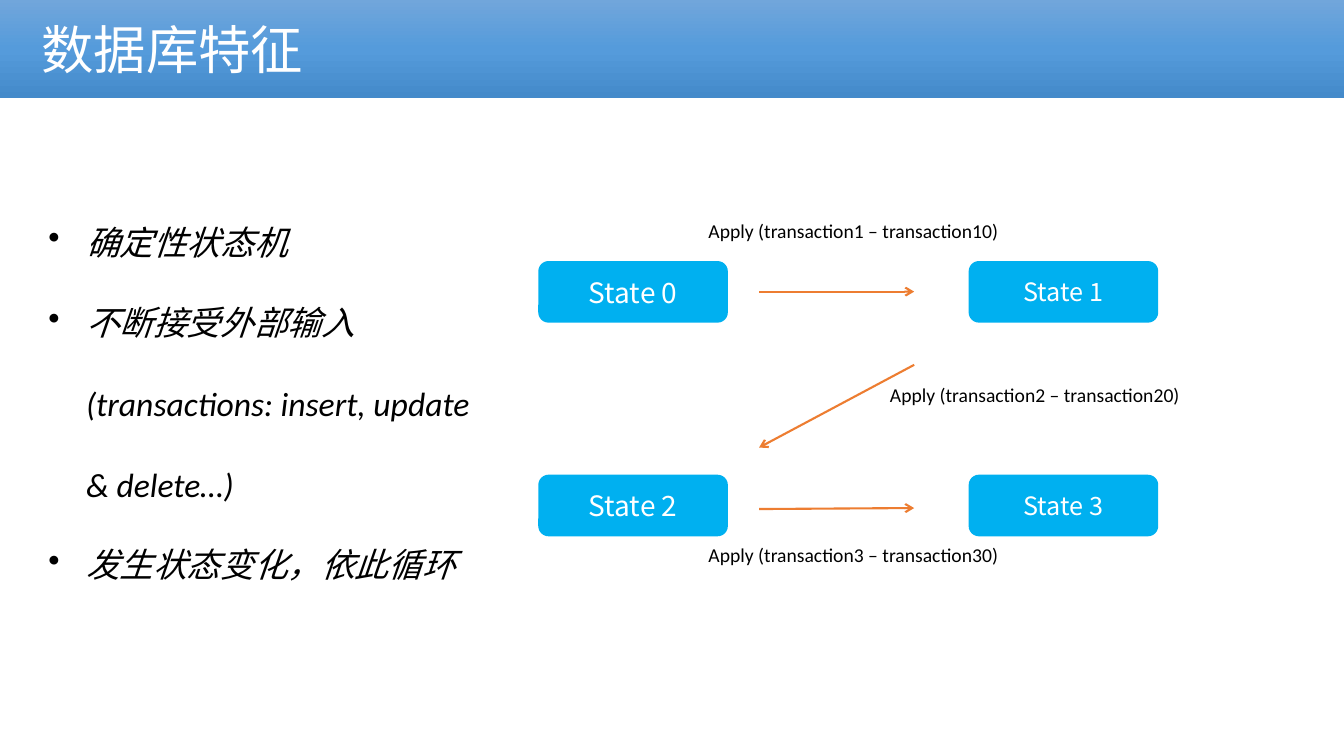
import pptx
import pptx.util
import pptx.dml.color
import pptx.enum.shapes
import pptx.enum.text
import pptx.oxml
import pptx.oxml.ns
from lxml import etree

Pt = pptx.util.Pt
qn = pptx.oxml.ns.qn
SHAPE = pptx.enum.shapes.MSO_SHAPE
ALIGN = pptx.enum.text.PP_ALIGN
ANCHOR = pptx.enum.text.MSO_ANCHOR
COLORS = {"white": "FFFFFF", "black": "000000", "state": "00B0F0", "arrow": "ED7D31",
          "bar_top": "71A6DB", "bar_middle": "559BDB", "bar_bottom": "448ACA"}
LATIN, CJK = "Calibri", "Noto Sans CJK SC"


def rgb(name):
    return pptx.dml.color.RGBColor.from_string(COLORS[name])


class SlideBuilder:
    def __init__(self, slide):
        self.s = slide

    def set_text(self, p, text, size, color, font=LATIN, italic=None):
        p.add_run().text = text
        p.font.size = Pt(size)
        p.font.name = font
        p.font.italic = italic
        p.font.color.rgb = rgb(color)
        props = p._p.pPr.find(qn("a:defRPr"))
        etree.SubElement(props, qn("a:ea"), typeface=CJK)
        return props

    def shape(self, kind, x, y, w, h):
        sp = self.s.shapes.add_shape(kind, Pt(x), Pt(y), Pt(w), Pt(h))
        sp.shadow.inherit = False
        sp.line.fill.background()
        sp.text_frame.vertical_anchor = ANCHOR.MIDDLE
        return sp

    def text_frame(self, x, y, w, h, wrap):
        tf = self.s.shapes.add_textbox(Pt(x), Pt(y), Pt(w), Pt(h)).text_frame
        tf.word_wrap = wrap
        tf.auto_size = pptx.enum.text.MSO_AUTO_SIZE.SHAPE_TO_FIT_TEXT
        return tf

    def title_bar(self, text, w, h):
        sp = self.shape(SHAPE.RECTANGLE, 0, 0, w, h)
        sp.fill.gradient()
        sp.fill.gradient_angle = 270
        stops = sp._element.spPr.find(qn("a:gradFill")).find(qn("a:gsLst"))
        for stop in list(stops):
            stops.remove(stop)
        for pos, name in ((0, "bar_top"), (50, "bar_middle"), (100, "bar_bottom")):
            stop = etree.SubElement(stops, qn("a:gs"), pos=str(pos * 1000))
            etree.SubElement(stop, qn("a:srgbClr"), val=COLORS[name])
        p = sp.text_frame.paragraphs[0]
        p.alignment = ALIGN.LEFT
        self.set_text(p, text, 37.4, "white")
        p._p.pPr.set("marL", str(Pt(22.5)))

    def bullets(self, items, x, y, w, h):
        tf = self.text_frame(x, y, w, h, True)
        for i, item in enumerate(items):
            p = tf.add_paragraph() if i else tf.paragraphs[0]
            p.line_spacing = 2.0
            props = self.set_text(p, item, 24, "black", italic=True)
            p._p.pPr.set("marL", str(Pt(27)))
            p._p.pPr.set("indent", str(Pt(-27)))
            bullet = pptx.oxml.parse_xml(
                '<a:buChar %s char="•"/>' % pptx.oxml.ns.nsdecls("a"))
            props.addprevious(bullet)

    def state(self, text, x, y, w, h, size):
        sp = self.shape(SHAPE.ROUNDED_RECTANGLE, x, y, w, h)
        sp.fill.solid()
        sp.fill.fore_color.rgb = rgb("state")
        p = sp.text_frame.paragraphs[0]
        p.alignment = ALIGN.CENTER
        self.set_text(p, text, size, "white", CJK)

    def label(self, text, x, y):
        tf = self.text_frame(x, y, 224, 24.5, False)
        self.set_text(tf.paragraphs[0], text, 14, "black")

    def arrow(self, x1, y1, x2, y2):
        c = self.s.shapes.add_connector(
            pptx.enum.shapes.MSO_CONNECTOR.STRAIGHT, Pt(x1), Pt(y1), Pt(x2), Pt(y2))
        c.line.color.rgb = rgb("arrow")
        c.line.width = Pt(1.5)
        ln = c._element.spPr.find(qn("a:ln"))
        etree.SubElement(ln, qn("a:tailEnd"), type="arrow")
        etree.SubElement(c._element.spPr, qn("a:effectLst"))


def main():
    prs = pptx.Presentation()
    prs.slide_width, prs.slide_height = Pt(960), Pt(540)
    b = SlideBuilder(prs.slides.add_slide(prs.slide_layouts[6]))

    # Title and key points
    b.title_bar("数据库特征", 960, 70)
    b.bullets(["确定性状态机",
               "不断接受外部输入(transactions: insert, update & delete…)",
               "发生状态变化，依此循环"], 27.4, 126, 336.2, 298)

    # States in a two by two grid
    for i in range(4):
        row, col = divmod(i, 2)
        b.state(f"State {i}", 384.5 + 307.4 * col, 186.5 + 152.6 * row,
                135.4, 44, 18 if col else 20)

    # Transitions between states
    left, right = 542.2, 653
    transitions = [((left, 208.3, right, 208.3), (499, 152.6)),
                   ((right, 260.6, left, 319.7), (628.6, 270)),
                   ((left, 363.6, right, 362.9), (499, 384.5))]
    for n, (ends, place) in enumerate(transitions, 1):
        b.arrow(*ends)
        b.label(f"Apply (transaction{n} – transaction{n}0)", *place)

    prs.save("out.pptx")


if __name__ == "__main__":
    main()
